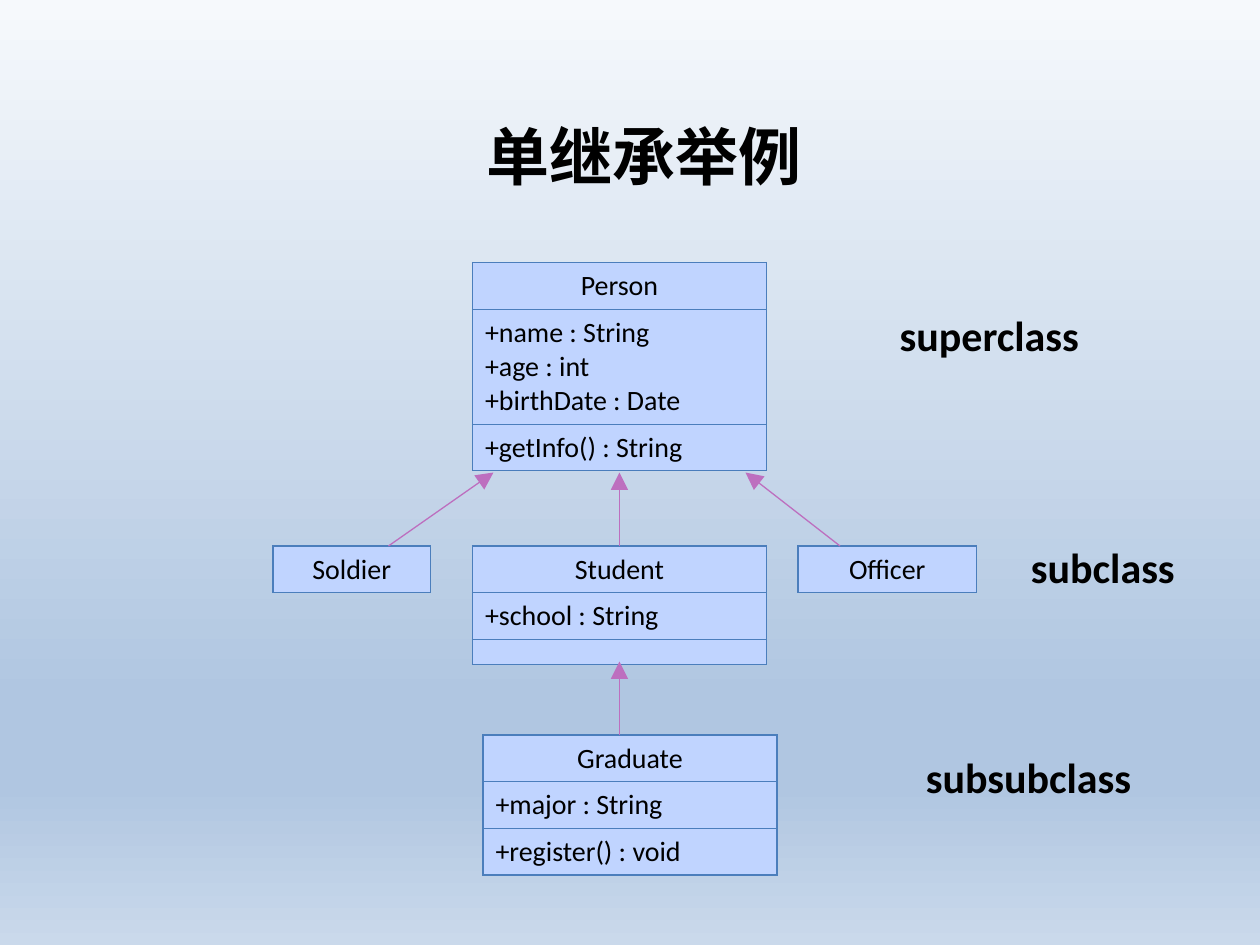
from lxml import etree
from pptx import Presentation
from pptx.dml.color import RGBColor
from pptx.enum.shapes import MSO_CONNECTOR
from pptx.enum.text import MSO_ANCHOR, PP_ALIGN
from pptx.oxml.ns import qn
from pptx.util import Pt

BLACK = RGBColor(0x00, 0x00, 0x00)
CELL_BLUE = RGBColor(0xC0, 0xD4, 0xFF)
BORDER_BLUE = RGBColor(0x4B, 0x7E, 0xBC)
ARROW_PINK = RGBColor(0xBD, 0x6F, 0xBF)
BACKGROUND_STOPS = [
    (0, RGBColor(0xF6, 0xF9, 0xFC)),
    (74, RGBColor(0xB0, 0xC6, 0xE1)),
    (83, RGBColor(0xB0, 0xC6, 0xE1)),
    (100, RGBColor(0xCA, 0xD9, 0xEB)),
]
LEFT, CENTER = PP_ALIGN.LEFT, PP_ALIGN.CENTER
TOP, MIDDLE = MSO_ANCHOR.TOP, MSO_ANCHOR.MIDDLE
STRAIGHT = MSO_CONNECTOR.STRAIGHT

TITLE_FORMAT = {"name": "Times New Roman", "size": Pt(36), "bold": True}
LABEL_FORMAT = {"name": "Calibri", "size": Pt(24), "bold": True}
CLASS_FORMAT = {"name": "Calibri", "size": Pt(16), "bold": False}

LINE_HEIGHT = 19.5
CELL_PADDING = 7.2
EMPTY_HEIGHT = 14.3
BOX_WIDTH = 168

# name, left, top, width, compartments below the name
CLASSES = [
    ("Person", 270, 150, BOX_WIDTH,
     [["+name : String", "+age : int", "+birthDate : Date"], ["+getInfo() : String"]]),
    ("Student", 270, 312, BOX_WIDTH, [["+school : String"], []]),
    ("Soldier", 156, 312, 90, []),
    ("Officer", 456, 312, 102, []),
    ("Graduate", 276, 420, BOX_WIDTH, [["+major : String"], ["+register() : void"]]),
]
# child x, child y, parent x, parent y
INHERITANCE = [
    (354, 312, 354, 270),
    (480, 312, 426, 270),
    (222, 312, 282, 270),
    (354, 420, 354, 378),
]
# text, left, top, width
LEVELS = [
    ("superclass", 507, 173.5, 150),
    ("subclass", 582, 306, 112),
    ("subsubclass", 522, 426, 144),
]


def add_color(parent, color):
    etree.SubElement(parent, qn("a:srgbClr"), val=str(color))


class ClassDiagram:
    def __init__(self, deck):
        self.page = deck.slides.add_slide(deck.slide_layouts[6])

    def background(self, stops):
        fill = self.page.background.fill
        fill.gradient()
        fill.gradient_angle = 270
        stop_list = self.page.element.find(".//" + qn("a:gsLst"))
        for stop in list(stop_list):
            stop_list.remove(stop)
        for percent, color in stops:
            add_color(etree.SubElement(stop_list, qn("a:gs"), pos=str(percent * 1000)), color)

    def fill_lines(self, frame, lines, style, align):
        """Put each line in its own formatted paragraph."""
        for index, line in enumerate(lines):
            para = frame.add_paragraph() if index else frame.paragraphs[0]
            para.alignment = align
            span = para.add_run()
            span.text = line
            for key, value in style.items():
                setattr(span.font, key, value)
            span.font.color.rgb = BLACK

    def text(self, line, left, top, width, height, style, align=LEFT, anchor=TOP):
        box = self.page.shapes.add_textbox(Pt(left), Pt(top), Pt(width), Pt(height))
        frame = box.text_frame
        frame.word_wrap = True
        frame.vertical_anchor = anchor
        self.fill_lines(frame, [line], style, align)

    def cell(self, cell, lines, align):
        cell.fill.solid()
        cell.fill.fore_color.rgb = CELL_BLUE
        cell.vertical_anchor = MIDDLE
        if lines:
            self.fill_lines(cell.text_frame, lines, CLASS_FORMAT, align)
        else:
            # A small end mark lets the empty compartment stay low.
            para = cell.text_frame.paragraphs[0]
            etree.SubElement(para._p, qn("a:endParaRPr"), sz="500")
        properties = cell._tc.get_or_add_tcPr()
        for index, side in enumerate(("a:lnL", "a:lnR", "a:lnT", "a:lnB")):
            border = etree.Element(qn(side), w=str(Pt(0.75)))
            add_color(etree.SubElement(border, qn("a:solidFill")), BORDER_BLUE)
            properties.insert(index, border)

    def class_box(self, name, left, top, width, compartments):
        rows = [[name]] + compartments
        heights = [len(lines) * LINE_HEIGHT + CELL_PADDING if lines else EMPTY_HEIGHT
                   for lines in rows]
        table = self.page.shapes.add_table(
            len(rows), 1, Pt(left), Pt(top), Pt(width), Pt(sum(heights))).table
        table.first_row = table.horz_banding = False
        for index, (lines, height) in enumerate(zip(rows, heights)):
            table.rows[index].height = Pt(height)
            self.cell(table.cell(index, 0), lines, LEFT if index else CENTER)

    def arrow(self, *ends):
        connector = self.page.shapes.add_connector(STRAIGHT, *map(Pt, ends))
        connector.line.color.rgb = ARROW_PINK
        connector.line.width = Pt(0.75)
        properties = connector._element.spPr
        etree.SubElement(properties.find(qn("a:ln")), qn("a:tailEnd"),
                         type="triangle", w="lg", len="lg")
        etree.SubElement(properties, qn("a:effectLst"))


def main():
    deck = Presentation()
    deck.slide_width, deck.slide_height = Pt(720), Pt(540)
    diagram = ClassDiagram(deck)
    diagram.background(BACKGROUND_STOPS)
    diagram.text("单继承举例", 214.5, 60.5, 307.5, 57, TITLE_FORMAT, CENTER, MIDDLE)
    for entry in CLASSES:
        diagram.class_box(*entry)
    for ends in INHERITANCE:
        diagram.arrow(*ends)
    for line, left, top, width in LEVELS:
        diagram.text(line, left, top, width, 36, LABEL_FORMAT)
    deck.save("out.pptx")


if __name__ == "__main__":
    main()
